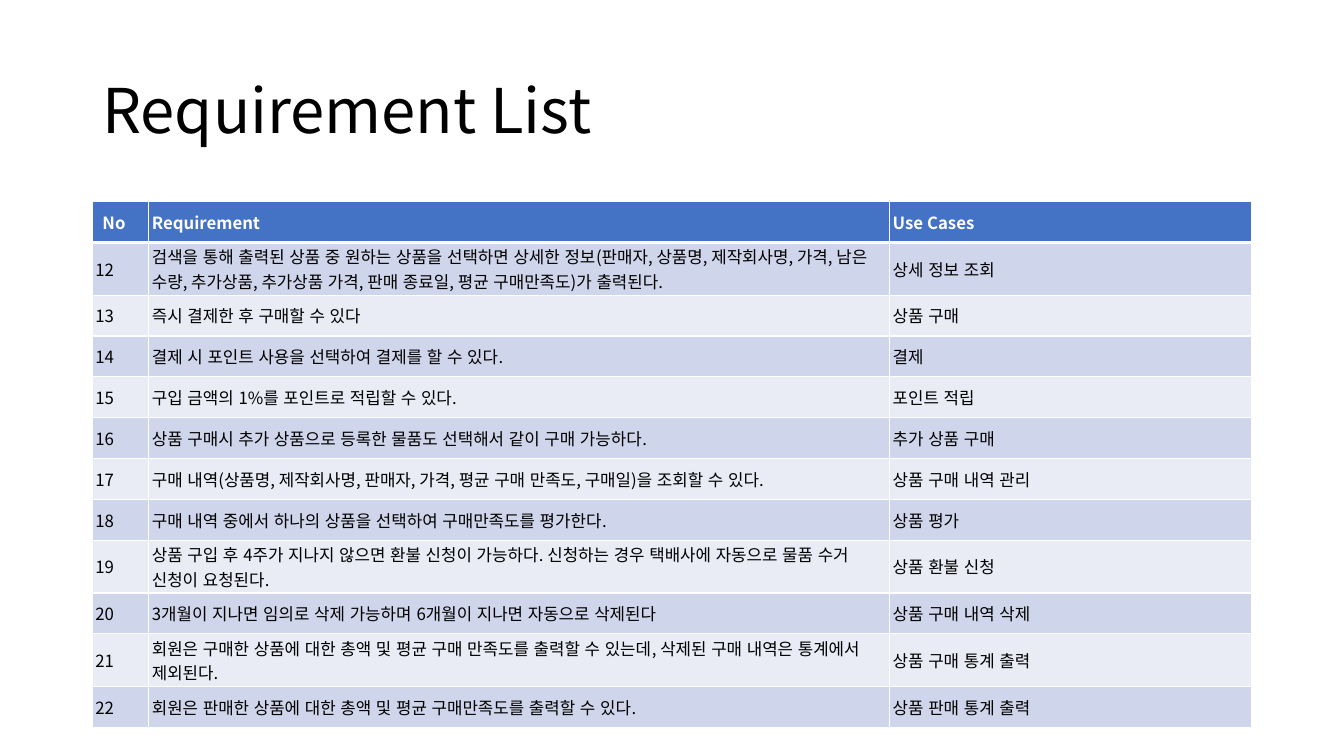
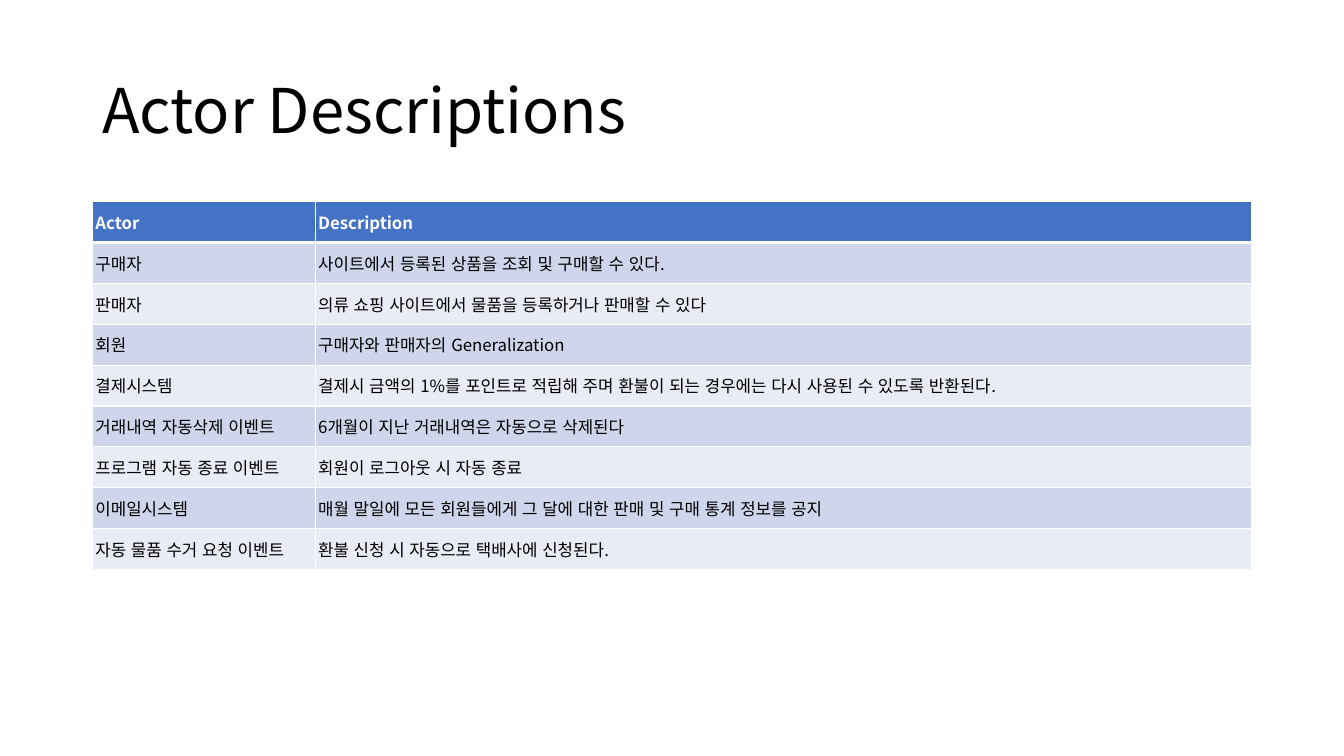
"""Build the requirement list and actor description slides."""
from lxml import etree
from pptx import Presentation
from pptx import util as u
from pptx.dml.color import RGBColor
from pptx.enum import lang, text
from pptx.oxml.ns import qn

SLIDES = [
    ("Requirement List", (40.32, 529.2, 258.48), [
        ("No", "Requirement", "Use Cases"),
        ("12", "검색을 통해 출력된 상품 중 원하는 상품을 선택하면 상세한 정보(판매자, 상품명, 제작회사명, 가격, "
               "남은 수량, 추가상품, 추가상품 가격, 판매 종료일, 평균 구매만족도)가 출력된다.", "상세 정보 조회"),
        ("13", "즉시 결제한 후 구매할 수 있다", "상품 구매"),
        ("14", "결제 시 포인트 사용을 선택하여 결제를 할 수 있다.", "결제"),
        ("15", "구입 금액의 1%를 포인트로 적립할 수 있다.", "포인트 적립"),
        ("16", "상품 구매시 추가 상품으로 등록한 물품도 선택해서 같이 구매 가능하다.", "추가 상품 구매"),
        ("17", "구매 내역(상품명, 제작회사명, 판매자, 가격, 평균 구매 만족도, 구매일)을 조회할 수 있다.",
         "상품 구매 내역 관리"),
        ("18", "구매 내역 중에서 하나의 상품을 선택하여 구매만족도를 평가한다.", "상품 평가"),
        ("19", "상품 구입 후 4주가 지나지 않으면 환불 신청이 가능하다. "
               "신청하는 경우 택배사에 자동으로 물품 수거 신청이 요청된다.", "상품 환불 신청"),
        ("20", "3개월이 지나면 임의로 삭제 가능하며 6개월이 지나면 자동으로 삭제된다", "상품 구매 내역 삭제"),
        ("21", "회원은 구매한 상품에 대한 총액 및 평균 구매 만족도를 출력할 수 있는데, "
               "삭제된 구매 내역은 통계에서 제외된다.", "상품 구매 통계 출력"),
        ("22", "회원은 판매한 상품에 대한 총액 및 평균 구매만족도를 출력할 수 있다.", "상품 판매 통계 출력"),
    ]),
    ("Actor Descriptions", (159.12, 668.88), [
        ("Actor", "Description"),
        ("구매자", "사이트에서 등록된 상품을 조회 및 구매할 수 있다."),
        ("판매자", "의류 쇼핑 사이트에서 물품을 등록하거나 판매할 수 있다"),
        ("회원", "구매자와 판매자의 Generalization"),
        ("결제시스템", "결제시 금액의 1%를 포인트로 적립해 주며 환불이 되는 경우에는 다시 사용된 수 있도록 반환된다."),
        ("거래내역 자동삭제 이벤트", "6개월이 지난 거래내역은 자동으로 삭제된다"),
        ("프로그램 자동 종료 이벤트", "회원이 로그아웃 시 자동 종료"),
        ("이메일시스템", "매월 말일에 모든 회원들에게 그 달에 대한 판매 및 구매 통계 정보를 공지"),
        ("자동 물품 수거 요청 이벤트", "환불 신청 시 자동으로 택배사에 신청된다."),
    ]),
]

THEME = {
    "font": "Noto Sans CJK KR", "title_size": 44, "cell_size": 12,
    "text": "000000", "header_text": "FFFFFF", "header": "4472C4",
    "bands": ("CFD5EA", "E9EBF5"), "border": "FFFFFF", "rule": 1, "header_rule": 3,
}
LEFT, WIDTH = 66, 828
TITLE_TOP, TITLE_H = 28.8, 104.4
TABLE_TOP, ROW_H, TWO_LINE_H = 144, 29.2, 37.6
LINE_CHARS = 58
TIGHT = (2.2, 1.4)
ROOMY = (7.2, 3.6)


def write(p, words, size, color, bold=False):
    r = p.add_run()
    r.text = words
    values = {"name": THEME["font"], "size": u.Pt(size), "bold": bold,
              "language_id": lang.MSO_LANGUAGE_ID.KOREAN}
    for key, value in values.items():
        setattr(r.font, key, value)
    r.font.color.rgb = RGBColor.from_string(color)
    ea = etree.SubElement(r.font._element, qn("a:ea"))
    ea.set("typeface", THEME["font"])


def add_title(s, words):
    box = s.shapes.add_textbox(u.Pt(LEFT), u.Pt(TITLE_TOP), u.Pt(WIDTH), u.Pt(TITLE_H))
    tf = box.text_frame
    tf.word_wrap = True
    tf.vertical_anchor = text.MSO_ANCHOR.MIDDLE
    p = tf.paragraphs[0]
    p.line_spacing = 0.9
    write(p, words, THEME["title_size"], THEME["text"])


def add_borders(cell, row):
    widths = {"L": THEME["rule"], "R": THEME["rule"],
              "T": THEME["header_rule" if row == 1 else "rule"],
              "B": THEME["header_rule" if row == 0 else "rule"]}
    props = cell._tc.get_or_add_tcPr()
    for side, width in widths.items():
        line = etree.SubElement(props, qn("a:ln" + side), w=str(u.Pt(width)))
        fill = etree.SubElement(line, qn("a:solidFill"))
        etree.SubElement(fill, qn("a:srgbClr"), val=THEME["border"])


def format_cell(cell, words, row):
    header = row == 0
    dx, dy = ROOMY if words == "No" else TIGHT
    values = {"margin_left": u.Pt(dx), "margin_right": u.Pt(dx),
              "margin_top": u.Pt(dy), "margin_bottom": u.Pt(dy),
              "vertical_anchor": text.MSO_ANCHOR.MIDDLE}
    for key, value in values.items():
        setattr(cell, key, value)
    add_borders(cell, row)
    cell.fill.solid()
    color = THEME["header"] if header else THEME["bands"][(row - 1) % 2]
    cell.fill.fore_color.rgb = RGBColor.from_string(color)
    write(cell.text_frame.paragraphs[0], words, THEME["cell_size"],
          THEME["header_text" if header else "text"], header)


def row_height(row):
    return TWO_LINE_H if max(map(len, row)) > LINE_CHARS else ROW_H


def add_grid(s, widths, rows):
    heights = [row_height(row) for row in rows]
    frame = s.shapes.add_table(len(rows), len(widths), u.Pt(LEFT), u.Pt(TABLE_TOP),
                               u.Pt(WIDTH), u.Pt(sum(heights)))
    table = frame.table
    for column, width in zip(table.columns, widths):
        column.width = u.Pt(width)
    for i, row in enumerate(rows):
        table.rows[i].height = u.Pt(heights[i])
        for j, words in enumerate(row):
            format_cell(table.cell(i, j), words, i)


prs = Presentation()
prs.slide_width, prs.slide_height = u.Pt(960), u.Pt(540)
for title, widths, rows in SLIDES:
    s = prs.slides.add_slide(prs.slide_layouts[6])
    add_title(s, title)
    add_grid(s, widths, rows)
prs.save("out.pptx")
